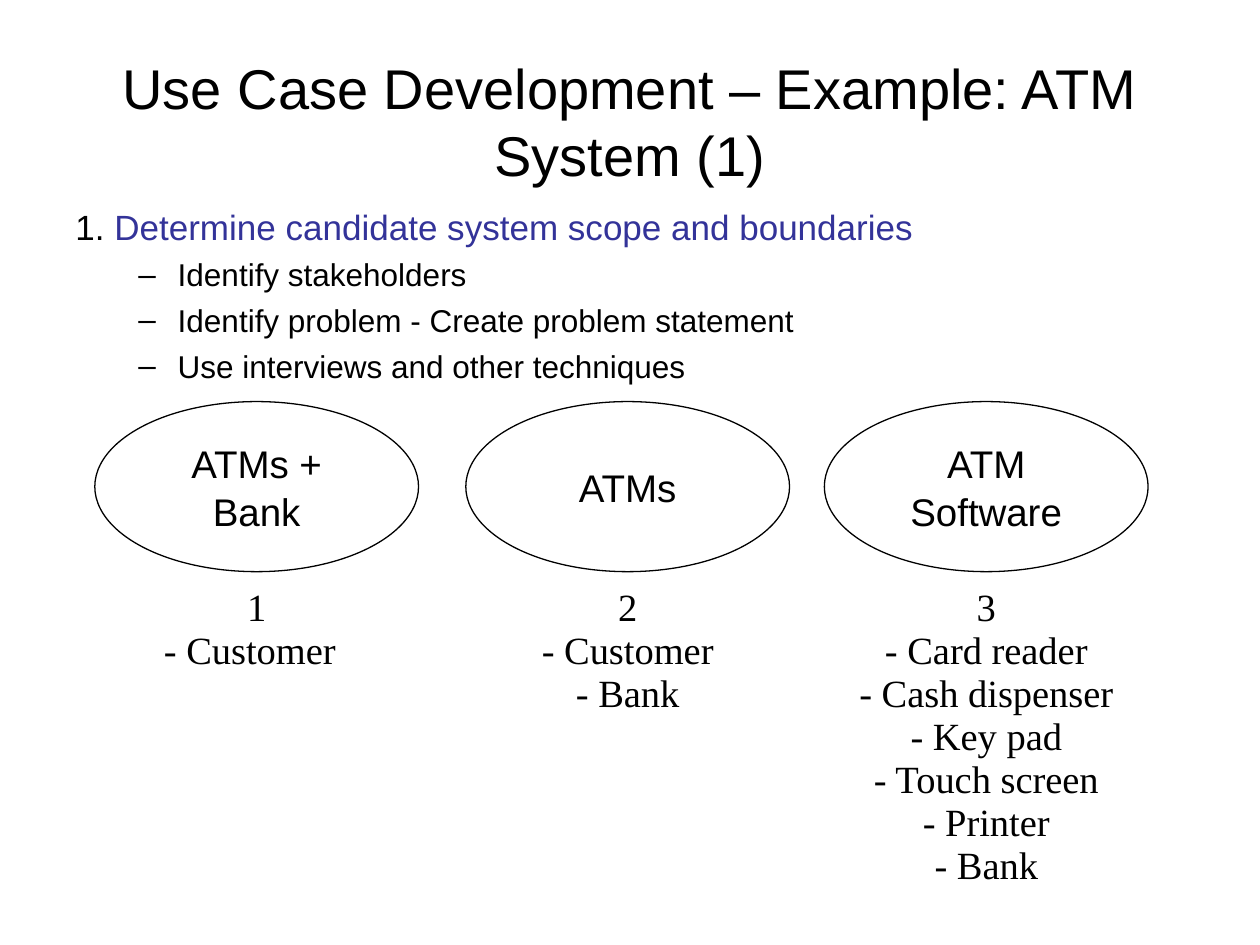
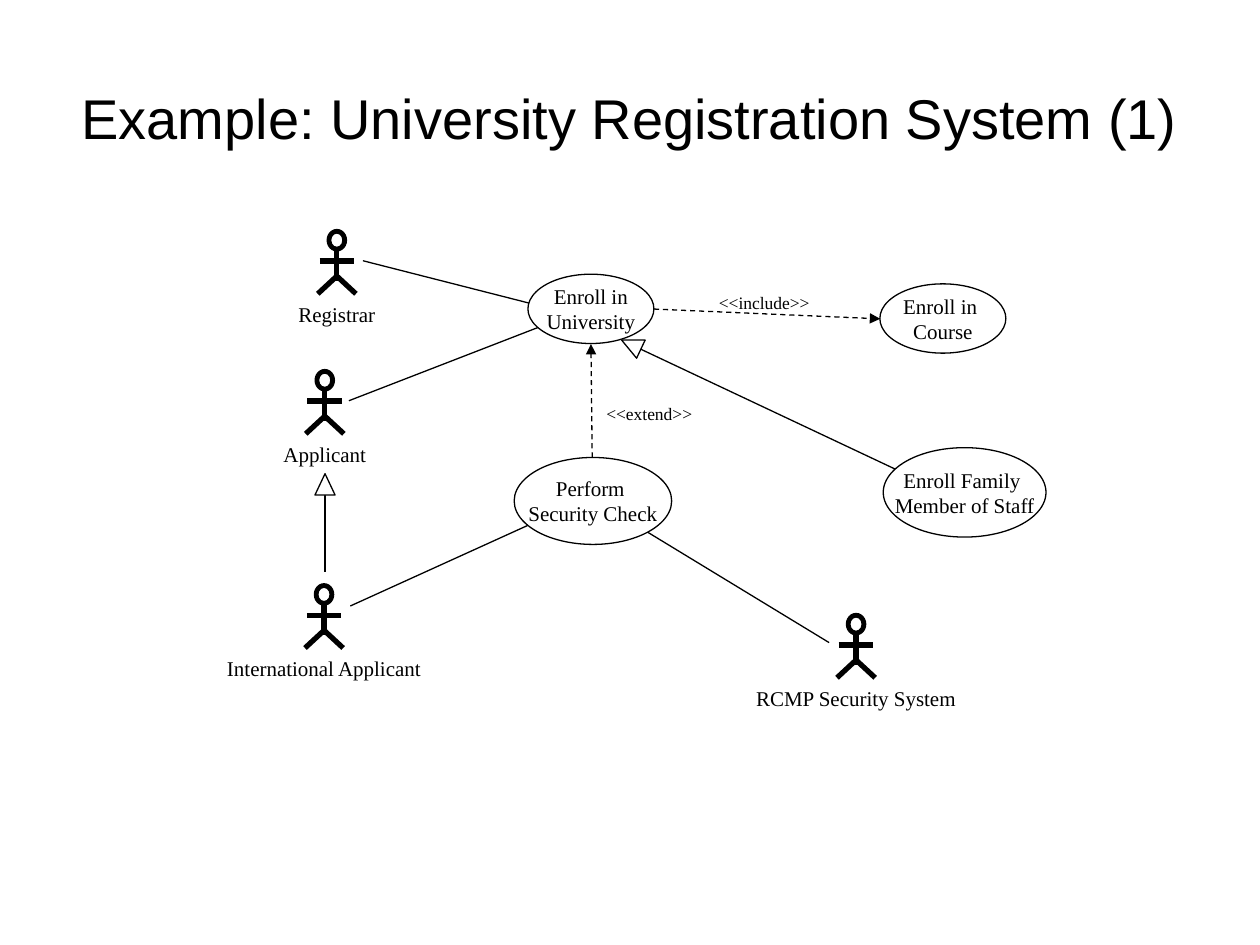
"""Builds two slides on use cases: a cash machine scope and a university diagram."""
from pptx import Presentation
from pptx.dml.color import RGBColor
from pptx.enum.dml import MSO_LINE
from pptx.enum.shapes import MSO_CONNECTOR, MSO_SHAPE
from pptx.enum.text import MSO_ANCHOR, PP_ALIGN
from pptx.oxml.xmlchemy import OxmlElement
from pptx.util import Pt

BLACK = RGBColor(0, 0, 0)
WHITE = RGBColor(255, 255, 255)
INDIGO = RGBColor(0x33, 0x33, 0x99)
SANS, SERIF = "Arial", "Times New Roman"
LEFT, MID = PP_ALIGN.LEFT, PP_ALIGN.CENTER

SCOPE = "Use Case Development – Example: ATM System (1)"
STEP = ("1. ", "Determine candidate system scope and boundaries")
TASKS = ["Identify stakeholders",
         "Identify problem - Create problem statement",
         "Use interviews and other techniques"]
# name, left, list width, list height, wraps, list alignment, outside parties
SYSTEMS = [
    ("ATMs + Bank", 54.2, 119, 116, True, LEFT, ["Customer"]),
    ("ATMs", 266.2, 116, 132, False, MID, ["Customer", "Bank"]),
    ("ATM Software", 471.1, 162, 175, False, MID,
     ["Card reader", "Cash dispenser", "Key pad", "Touch screen", "Printer", "Bank"]),
]

ENROLL = "Example: University Registration System (1)"
ACTORS = [("Registrar", 192.5, 131.2, 64), ("Applicant", 185.6, 211.2, 68),
          ("International Applicant", 185.2, 333.6, 132),
          ("RCMP Security System", 489.2, 350.6, 136)]
CASES = [("Perform \nSecurity Check", 293.8, 261.4, 90, 49.7),
         ("Enroll in\nUniversity", 301.7, 156.7, 72, 39.6),
         ("Enroll in \nCourse", 502.8, 162.2, 72, 39.6),
         ("Enroll Family \nMember of Staff", 504.7, 255.8, 93, 51.1)]
LINKS = [(360, 298, 473.8, 367.2), (362.9, 198, 537.1, 280.1),
         (320.4, 177.8, 207.4, 149), (333.4, 285.8, 200.2, 346.3),
         (333.4, 177.1, 199.4, 229), (185.8, 278.6, 185.8, 326.9)]
HEADS = [(355, 190.8, 295.2), (180, 270.7, 0)]
ARROWS = [("<<include>>", 400.7, 163.5, 72, (373.7, 176.6, 503, 182.2)),
          ("<<extend>>", 336, 226.5, 70, (338.4, 261.4, 337.7, 196.6))]
LIMBS = [(0, 12.2, 0, 29.5), (-9.9, 18, 9.9, 18),
         (-10.9, 36.7, 0, 26.6), (10.9, 36.7, 0, 26.6)]


def style(para, size, font, color=BLACK):
    for run in para.runs:
        run.font.size = Pt(size)
        run.font.name = font
        run.font.color.rgb = color


def write(shape, text, size, font, pad=(7.2, 3.6), wrap=True,
          anchor=MSO_ANCHOR.TOP, gap=None):
    frame = shape.text_frame
    frame.text = text
    frame.word_wrap = wrap
    frame.vertical_anchor = anchor
    frame.margin_left = frame.margin_right = Pt(pad[0])
    frame.margin_top = frame.margin_bottom = Pt(pad[1])
    for para in frame.paragraphs:
        para.alignment = MID
        if gap:
            para.line_spacing = gap
        style(para, size, font)
    return frame


def box(slide, x, y, w, h):
    return slide.shapes.add_textbox(Pt(x), Pt(y), Pt(w), Pt(h))


def form(slide, kind, x, y, w, h, fill=WHITE):
    shape = slide.shapes.add_shape(kind, Pt(x), Pt(y), Pt(w), Pt(h))
    shape.shadow.inherit = False
    if fill is None:
        shape.fill.background()
    else:
        shape.fill.solid()
        shape.fill.fore_color.rgb = fill
    shape.line.color.rgb = BLACK
    shape.line.width = Pt(0.75)
    return shape


def link(slide, ends, width=0.75, arrow=False):
    wire = slide.shapes.add_connector(MSO_CONNECTOR.STRAIGHT, *map(Pt, ends))
    wire.line.color.rgb = BLACK
    wire.line.width = Pt(width)
    if arrow:
        wire.line.dash_style = MSO_LINE.DASH
        tip = OxmlElement("a:tailEnd")
        tip.set("type", "triangle")
        wire.line._get_or_add_ln().append(tip)
    wire._element.spPr.append(OxmlElement("a:effectLst"))


def title(slide, text, top, pad):
    write(box(slide, 36, top, 648, 90), text, 32, SANS, pad, anchor=MSO_ANCHOR.MIDDLE)


def indent(para, left, first, mark=None):
    props = para._p.get_or_add_pPr()
    props.set("marL", str(Pt(left)))
    props.set("indent", str(Pt(first)))
    if mark:
        for tag, key, value in (("a:buFont", "typeface", SANS), ("a:buChar", "char", mark)):
            part = OxmlElement(tag)
            part.set(key, value)
            props.append(part)


def outline(slide):
    frame = box(slide, 36, 113.8, 648, 356.4).text_frame
    frame.word_wrap = True
    head = frame.paragraphs[0]
    for part in STEP:
        head.add_run().text = part
    indent(head, 27, -27)
    style(head, 20, SANS)
    head.runs[1].font.color.rgb = INDIGO
    for task in TASKS:
        para = frame.add_paragraph()
        para.text = task
        indent(para, 58.5, -22.5, "–")
        para.space_before = Pt(4.5)
        style(para, 18, SANS)


def scope(slide):
    title(slide, SCOPE, 23.8, (7.2, 3.6))
    outline(slide)
    pad, wide = (6.5, 3), 185
    for num, (name, x, w, h, wrap, align, parties) in enumerate(SYSTEMS, 1):
        oval = form(slide, MSO_SHAPE.OVAL, x, 229.5, wide, 97.2, None)
        write(oval, name, 22, SANS, pad, anchor=MSO_ANCHOR.MIDDLE, gap=1.04)
        text = "\n".join([str(num)] + [f"- {party}" for party in parties])
        area = box(slide, x + (wide - w) / 2, 332.6, w, h)
        frame = write(area, text, 22, SERIF, pad, wrap, gap=0.93)
        for para in frame.paragraphs[1:]:
            para.alignment = align


def actor(slide, name, x, y, w):
    ring = form(slide, MSO_SHAPE.DONUT, x - 5.5, y, 11, 12.2, BLACK)
    ring.adjustments[0] = 0.18
    for x1, y1, x2, y2 in LIMBS:
        link(slide, (x + x1, y + y1, x + x2, y + y2), 3)
    write(box(slide, x - w / 2, y + 37.4, w, 21.6), name, 12, SERIF, wrap=False)


def enroll(slide):
    title(slide, ENROLL, 21.9, (0, 0))
    for ends in LINKS:
        link(slide, ends)
    for x, y, turn in HEADS:
        form(slide, MSO_SHAPE.ISOSCELES_TRIANGLE, x, y, 11.5, 12.2).rotation = turn
    for name, *place in CASES:
        oval = form(slide, MSO_SHAPE.OVAL, *place)
        write(oval, name, 12, SERIF, wrap=False, anchor=MSO_ANCHOR.MIDDLE)
    for name, x, y, w, ends in ARROWS:
        link(slide, ends, arrow=True)
        write(box(slide, x, y, w, 19.4), name, 10, SERIF, wrap=False)
    for item in ACTORS:
        actor(slide, *item)


def main():
    deck = Presentation()
    deck.slide_width, deck.slide_height = Pt(720), Pt(540)
    for build in (scope, enroll):
        build(deck.slides.add_slide(deck.slide_layouts[6]))
    deck.save("out.pptx")


if __name__ == "__main__":
    main()
